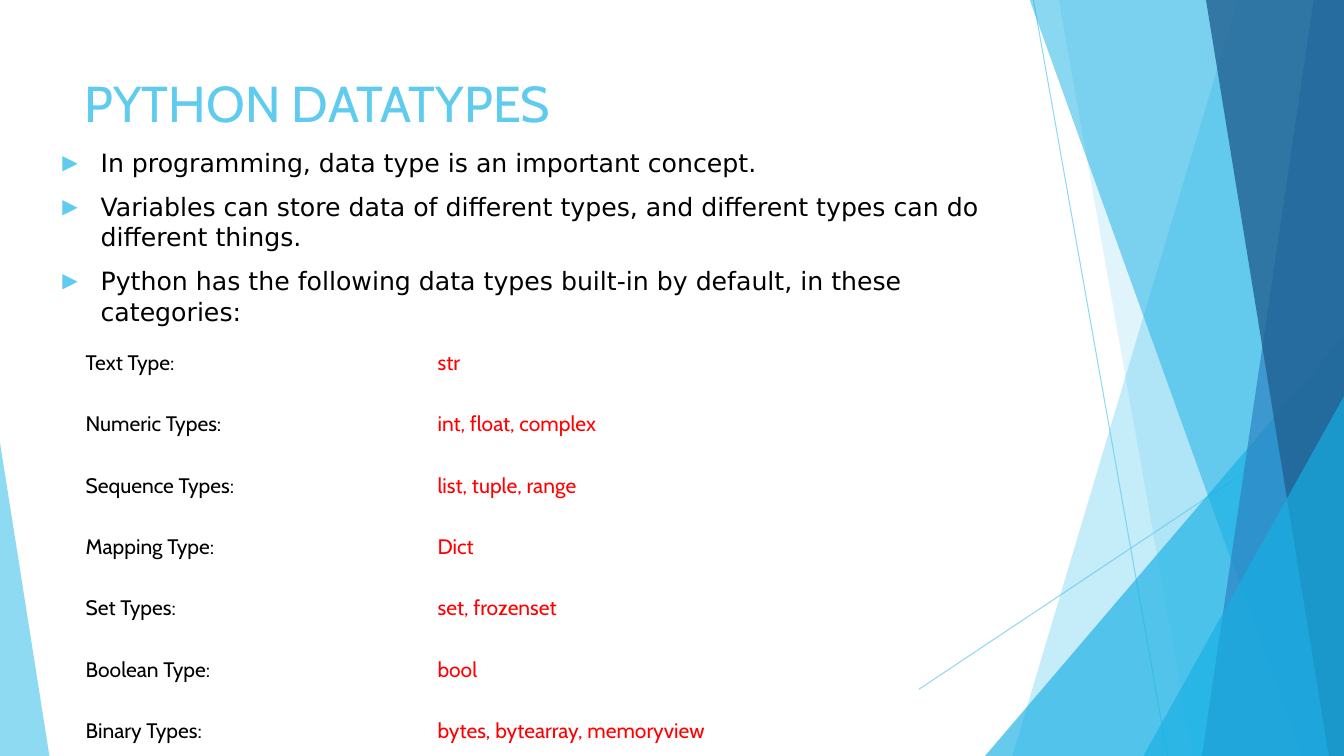
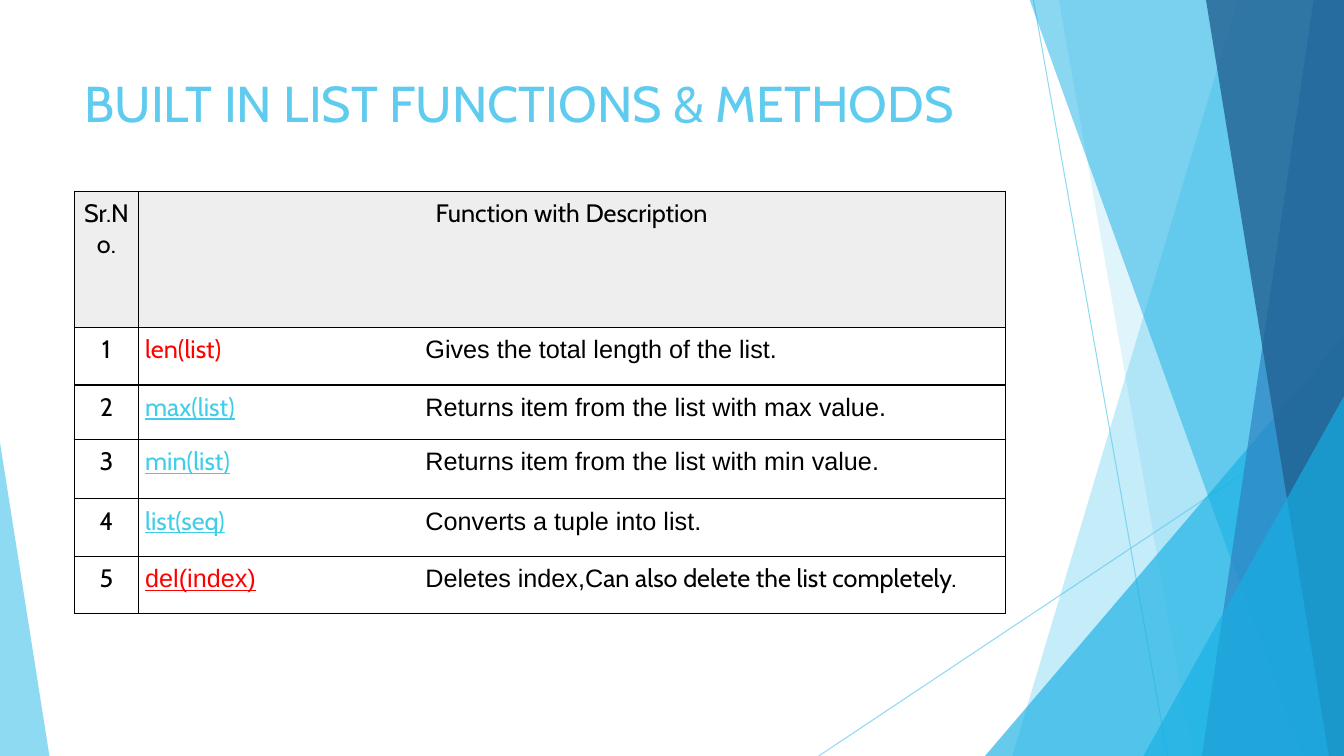
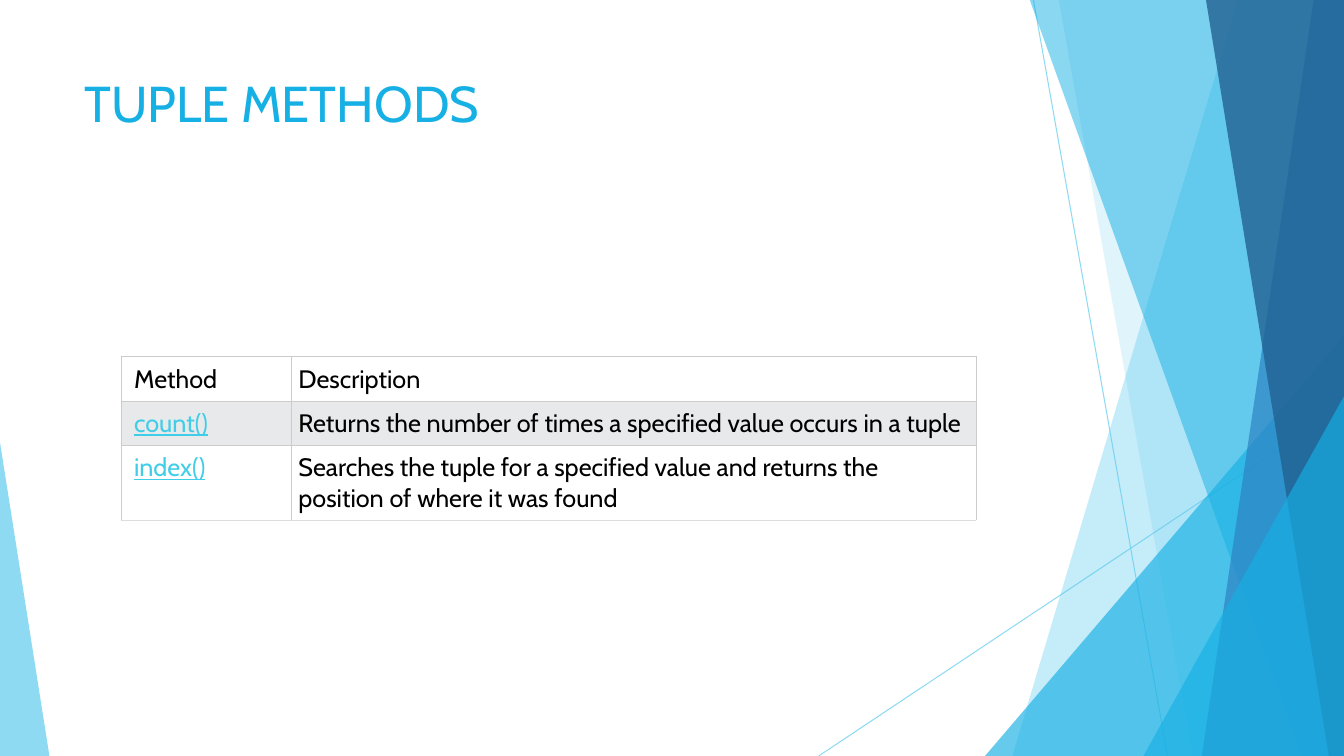
"""Build three slides on Python data types, list functions and tuple methods."""
from dataclasses import dataclass

from lxml import etree
from pptx import Presentation
from pptx.dml.color import RGBColor
from pptx.enum import shapes, text
from pptx.oxml import ns
from pptx.util import Inches, Pt


@dataclass(frozen=True)
class Theme:
    """Colours, fonts and type sizes of the deck."""
    sky: str = "5FCBEF"
    cyan: str = "17B0E4"
    blue: str = "2E83C3"
    navy: str = "226292"
    link: str = "3FCDE7"
    red: str = "FF0000"
    black: str = "000000"
    white: str = "FFFFFF"
    header: str = "EEEEEE"
    stripe: str = "E7E9EB"
    rule: str = "CCCCCC"
    last_rule: str = "DDDDDD"
    face: str = "Cabin"
    plain: str = "Arial"
    body: str = "DejaVu Sans"
    title_size: int = 36
    text_size: int = 18
    small_size: int = 15


THEME = Theme()
WIDTH, HEIGHT = 13.33, 7.5
BLEED = -0.01


def add_node(parent, tag, **attributes):
    """Append a DrawingML element and return it."""
    return etree.SubElement(parent, ns.qn(f"a:{tag}"), attributes)


def add_colour(parent, colour):
    """Append an RGB colour element."""
    add_node(parent, "srgbClr", val=colour)


def write(para, content, *, font=THEME.face, size=THEME.text_size,
          color=THEME.black, underline=False):
    """Add one formatted span to a paragraph."""
    span = para.add_run()
    span.text = content
    span.font.name = font
    span.font.size = Pt(size)
    span.font.color.rgb = RGBColor.from_string(color)
    span.font.underline = underline


def set_opacity(shape, percent):
    """Make the explicit colours of a shape translucent."""
    for colour in shape.element.iter(ns.qn("a:srgbClr")):
        add_node(colour, "alpha", val=str(percent * 1000))


def set_borders(cell, width, color, bottom):
    """Draw the four edges of a table cell."""
    properties = cell._tc.get_or_add_tcPr()
    for side in "LRTB":
        edge = add_node(properties, f"ln{side}", w=str(Pt(width)))
        add_colour(add_node(edge, "solidFill"), bottom if side == "B" else color)


class Slides:
    """Holds the deck, its style and the current page."""

    def __init__(self, theme):
        """Start an empty widescreen deck."""
        self.theme = theme
        self.deck = Presentation()
        self.deck.slide_width, self.deck.slide_height = Inches(WIDTH), Inches(HEIGHT)
        self.page = None

    def add_page(self, heading, color):
        """Start a page with the shared backdrop and a title."""
        self.page = self.deck.slides.add_slide(self.deck.slide_layouts[6])
        self.backdrop()
        frame = self.text_frame(0.74, 0.67, 9.4, 1.44)
        write(frame.paragraphs[0], heading, size=self.theme.title_size, color=color)

    def backdrop(self):
        """Draw the translucent facets at the page edges."""
        theme = self.theme
        self.line((10.25, 0), (11.58, HEIGHT))
        self.line((WIDTH, 4.03), (8.12, HEIGHT))
        self.band(12.28, 10.04, theme.sky, 36)
        self.band(10.5, 11.83, theme.sky, 20)
        self.triangle(9.77, 3.33, 3.56, 1, theme.cyan, 66)
        self.band(10.21, 12.91, theme.cyan, 50)
        self.band(13.03, 11.92, theme.blue, 70)
        self.band(11.96, 13.18, theme.navy, 80)
        self.triangle(11.34, 3.93, 1.99, 1, theme.cyan, 66)
        self.triangle(0, 4.39, 0.49, 0, theme.sky, 70)

    def line(self, start, end):
        """Draw a thin translucent line."""
        ends = [Inches(value) for value in (*start, *end)]
        line = self.page.shapes.add_connector(shapes.MSO_CONNECTOR.STRAIGHT, *ends)
        line.line.color.rgb = RGBColor.from_string(self.theme.sky)
        line.line.width = Pt(0.75)
        add_node(line.element.spPr, "effectLst")
        set_opacity(line, 70)

    def paint(self, shape, color, opacity):
        """Give a shape a flat translucent fill."""
        shape.shadow.inherit = False
        shape.fill.solid()
        shape.fill.fore_color.rgb = RGBColor.from_string(color)
        shape.line.fill.background()
        set_opacity(shape, opacity)

    def band(self, top_x, foot_x, color, opacity):
        """Fill from a slanted left edge to the right page edge."""
        corners = [(WIDTH, BLEED), (WIDTH, HEIGHT), (foot_x, HEIGHT)]
        outline = self.page.shapes.build_freeform(Inches(top_x), Inches(BLEED))
        outline.add_line_segments([(Inches(x), Inches(y)) for x, y in corners])
        self.paint(outline.convert_to_shape(), color, opacity)

    def triangle(self, left, top, width, apex, color, opacity):
        """Stand a triangle on the bottom page edge."""
        shape = self.page.shapes.add_shape(
            shapes.MSO_SHAPE.ISOSCELES_TRIANGLE, Inches(left), Inches(top),
            Inches(width), Inches(HEIGHT - top))
        shape.adjustments[0] = apex
        self.paint(shape, color, opacity)

    def text_frame(self, left, top, width, height):
        """Add a wrapping text box and return its frame."""
        box = self.page.shapes.add_textbox(
            Inches(left), Inches(top), Inches(width), Inches(height))
        box.text_frame.word_wrap = True
        return box.text_frame

    def bullets(self, left, top, width, height, items):
        """Add a list with triangular bullets."""
        frame = self.text_frame(left, top, width, height)
        for index, item in enumerate(items):
            para = frame.add_paragraph() if index else frame.paragraphs[0]
            para.space_before = Pt(10)
            properties = para._p.get_or_add_pPr()
            indent = Inches(0.38)
            properties.set("marL", str(indent))
            properties.set("indent", str(-indent))
            add_colour(add_node(properties, "buClr"), self.theme.sky)
            add_node(properties, "buSzPct", val="80000")
            add_node(properties, "buFont", typeface=self.theme.body)
            add_node(properties, "buChar", char="▶")
            write(para, item, font=self.theme.body)

    def table(self, left, top, columns, heights, rows, *, fills, inset, first_inset,
              border=None, last_border=None, centred=(), tab=None):
        """Add a table whose cells are lists of (text, format) spans."""
        grid = self.page.shapes.add_table(
            len(rows), len(columns), Inches(left), Inches(top),
            Inches(sum(columns)), Inches(sum(heights))).table
        grid.first_row = grid.horz_banding = False
        for column, width in zip(grid.columns, columns):
            column.width = Inches(width)
        for r, (row, height) in enumerate(zip(rows, heights)):
            grid.rows[r].height = Inches(height)
            for c, spans in enumerate(row):
                cell = grid.cell(r, c)
                cell.margin_top = cell.margin_right = cell.margin_bottom = Inches(inset)
                cell.margin_left = Inches(inset if c else first_inset)
                if border:
                    width, color = border
                    last = r == len(rows) - 1
                    set_borders(cell, width, color, last_border if last and last_border else color)
                if fills[r]:
                    cell.fill.solid()
                    cell.fill.fore_color.rgb = RGBColor.from_string(fills[r])
                else:
                    cell.fill.background()
                para = cell.text_frame.paragraphs[0]
                if (r, c) in centred:
                    para.alignment = text.PP_ALIGN.CENTER
                elif tab and c:
                    stops = add_node(para._p.get_or_add_pPr(), "tabLst")
                    add_node(stops, "tab", pos=str(Inches(tab)), algn="l")
                for content, style in spans:
                    write(para, content, **style)


def datatypes(slides):
    """Build the overview of data types."""
    theme = slides.theme
    slides.add_page("PYTHON DATATYPES", theme.sky)
    slides.bullets(0.52, 1.41, 9.4, 4.24, [
        "In programming, data type is an important concept.",
        "Variables can store data of different types, and different types can do different things.",
        "Python has the following data types built-in by default, in these categories:",
    ])
    categories = [
        ("Text Type:", ["str"]),
        ("Numeric Types:", ["int", "float", "complex"]),
        ("Sequence Types:", ["list", "tuple", "range"]),
        ("Mapping Type:", ["Dict"]),
        ("Set Types:", ["set", "frozenset"]),
        ("Boolean Type:", ["bool"]),
        ("Binary Types:", ["bytes", "bytearray", "memoryview"]),
    ]
    small = {"size": theme.small_size}
    rows = [([(label, small)], [(",\u00a0".join(names), {**small, "color": theme.red})])
            for label, names in categories]
    slides.table(0.74, 3.41, [3.54, 4.83], [0.61] * len(rows), rows,
                 fills=[theme.white] * len(rows), inset=0.06, first_inset=0.11)


def list_functions(slides):
    """Build the table of list functions."""
    theme = slides.theme
    slides.add_page("BUILT IN LIST FUNCTIONS & METHODS", theme.sky)
    plain = {"font": theme.plain}
    link = {"color": theme.link, "underline": True}
    functions = [
        [("len(list)", {"color": theme.red}), ("\tGives the total length of the list.", plain)],
        [("max(list)", link), ("\tReturns item from the list with max value.", plain)],
        [("min(list)", link), ("\tReturns item from the list with min value.", plain)],
        [("list(seq)", link), ("\tConverts a tuple into list.", plain)],
        [("del(index)", {**link, **plain, "color": theme.red}),
         ("\tDeletes index,C", plain), ("an also delete the list completely.", {})],
    ]
    rows = [([("Sr.No.", {})], [("Function with Description", {})])]
    rows += [([(str(number), {})], spans) for number, spans in enumerate(functions, 1)]
    slides.table(0.74, 1.9, [0.63, 8.6], [1.35, 0.57, 0.54, 0.59, 0.57, 0.57], rows,
                 fills=[theme.header] + [None] * len(functions), inset=0.07,
                 first_inset=0.07, border=(1, theme.black), tab=2.78,
                 centred={(0, 1)} | {(r, 0) for r in range(len(rows))})


def tuple_methods(slides):
    """Build the table of tuple methods."""
    theme = slides.theme
    slides.add_page("TUPLE METHODS", theme.cyan)
    link = {"color": theme.link, "underline": True}
    rows = [
        ([("Method", {})], [("Description", {})]),
        ([("count()", link)],
         [("Returns the number of times a specified value occurs in a tuple", {})]),
        ([("index()", link)],
         [("Searches the tuple for a specified value and returns the position "
           "of where it was found", {})]),
    ]
    slides.table(1.2, 3.54, [1.69, 6.79], [0.44, 0.44, 0.74], rows,
                 fills=[theme.white, theme.stripe, theme.white], inset=0.07,
                 first_inset=0.13, border=(0.6, theme.rule), last_border=theme.last_rule)


def main():
    """Build and save the deck."""
    slides = Slides(THEME)
    for build in (datatypes, list_functions, tuple_methods):
        build(slides)
    slides.deck.save("out.pptx")


main()
